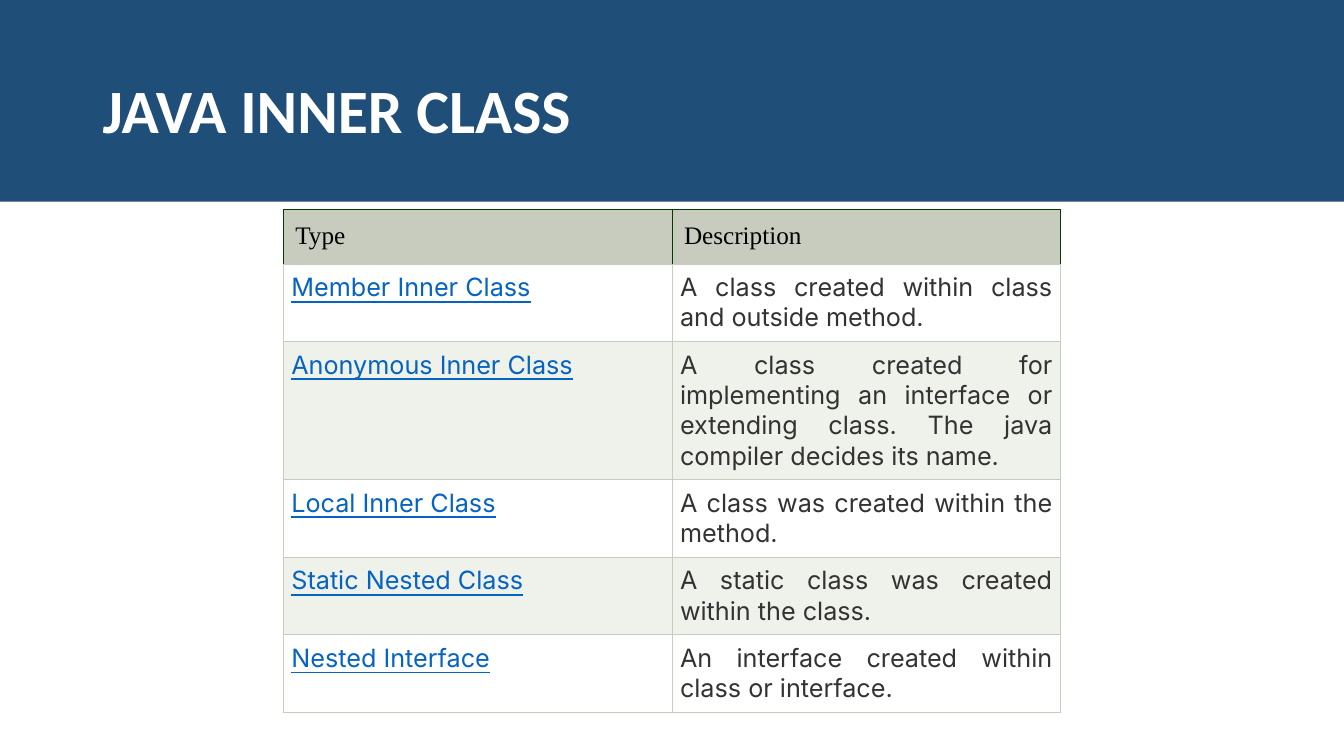
"""Build the slide on Java inner classes: a title band above a table of types."""
from typing import NamedTuple

from lxml import etree
from pptx import Presentation
from pptx.dml.color import RGBColor
from pptx.enum.shapes import MSO_SHAPE
from pptx.enum.text import MSO_ANCHOR, PP_ALIGN
from pptx.oxml.ns import qn
from pptx.util import Inches, Pt

RECT = MSO_SHAPE.RECTANGLE
MIDDLE = MSO_ANCHOR.MIDDLE
LEFT, JUSTIFY = PP_ALIGN.LEFT, PP_ALIGN.JUSTIFY
NAVY, WHITE, BLACK = "1F4E79", "FFFFFF", "000000"
SAGE, PALE, GREEN = "C7CCBE", "EFF1EB", "003B00"
LINK, GREY = "0563C1", "333333"


class Font(NamedTuple):
    name: str
    size: float
    color: str
    bold: bool = False
    under: bool = False


class Look(NamedTuple):
    fill: str
    edges: dict[str, str]
    inset: float
    align: PP_ALIGN
    fonts: tuple[Font, Font]


class Row(NamedTuple):
    kind: str
    about: str
    height: float


TITLE = Font("Calibri", 44, WHITE, bold=True)
HEAD = Font("Times New Roman", 18, BLACK)
NAME = Font("Inter", 18, LINK, under=True)
BODY = Font("Inter", 18, GREY)

HEADER = Look(SAGE, {"L": GREEN, "R": GREEN, "T": GREEN, "B": SAGE},
              0.12, LEFT, (HEAD, HEAD))
PLAIN, BANDED = (Look(fill, dict.fromkeys("LRTB", SAGE), 0.08, JUSTIFY, (NAME, BODY))
                 for fill in (WHITE, PALE))

ROWS = [
    Row("Type", "Description", 0.53),
    Row("Member Inner Class", "A class created within class and outside method.", 0.77),
    Row("Anonymous Inner Class", "A class created for implementing an interface or "
        "extending class. The java compiler decides its name.", 1.37),
    Row("Local Inner Class", "A class was created within the method.", 0.77),
    Row("Static Nested Class", "A static class was created within the class.", 0.77),
    Row("Nested Interface", "An interface created within class or interface.", 0.77),
]


def rgb(code: str) -> RGBColor:
    return RGBColor.from_string(code)


def write(frame, text: str, style: Font, align: PP_ALIGN = LEFT) -> None:
    frame.text = text
    frame.word_wrap = True
    para = frame.paragraphs[0]
    para.alignment = align
    font = para.runs[0].font
    font.name, font.size, font.bold = style.name, Pt(style.size), style.bold
    font.underline = style.under
    font.color.rgb = rgb(style.color)


def border(cell, side: str, color: str) -> None:
    props = cell._tc.get_or_add_tcPr()
    line = etree.SubElement(props, qn(f"a:ln{side}"), w=str(Pt(0.75)))
    fill = etree.SubElement(line, qn("a:solidFill"))
    etree.SubElement(fill, qn("a:srgbClr"), val=color)


def draw_cell(cell, text: str, look: Look, font: Font) -> None:
    write(cell.text_frame, text, font, look.align)
    cell.margin_left = cell.margin_right = Inches(look.inset)
    cell.margin_top = cell.margin_bottom = Inches(look.inset)
    for side, color in look.edges.items():
        border(cell, side, color)
    cell.fill.solid()
    cell.fill.fore_color.rgb = rgb(look.fill)


def draw_band(slide) -> None:
    band = slide.shapes.add_shape(RECT, 0, 0, Inches(13.33), Inches(2))
    band.shadow.inherit = False
    band.fill.solid()
    band.fill.fore_color.rgb = rgb(NAVY)
    band.line.fill.background()
    box = slide.shapes.add_textbox(Inches(0.92), Inches(0.4), Inches(11.5), Inches(1.45))
    write(box.text_frame, "JAVA INNER CLASS", TITLE)
    box.text_frame.vertical_anchor = MIDDLE
    box.text_frame.paragraphs[0].line_spacing = 0.9


def draw_table(slide) -> None:
    height = sum(row.height for row in ROWS)
    table = slide.shapes.add_table(len(ROWS), 2, Inches(2.81), Inches(2.08),
                                   Inches(7.71), Inches(height)).table
    for index, row in enumerate(ROWS):
        table.rows[index].height = Inches(row.height)
        look = HEADER if index == 0 else PLAIN if index % 2 else BANDED
        for col, text in enumerate((row.kind, row.about)):
            draw_cell(table.cell(index, col), text, look, look.fonts[col])


def main() -> None:
    deck = Presentation()
    deck.slide_width, deck.slide_height = Inches(13.33), Inches(7.5)
    slide = deck.slides.add_slide(deck.slide_layouts[6])
    draw_band(slide)
    draw_table(slide)
    deck.save("out.pptx")


main()
